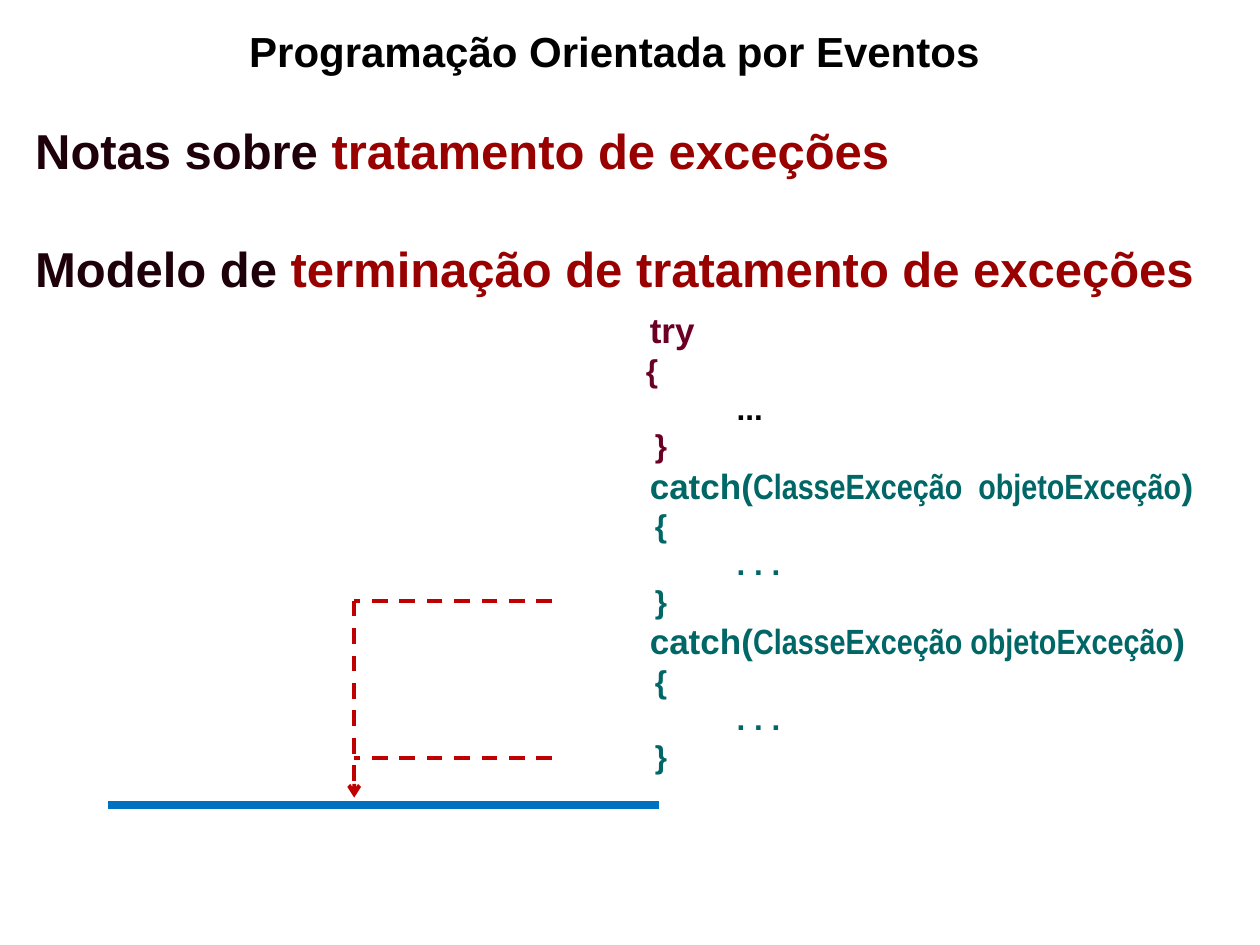
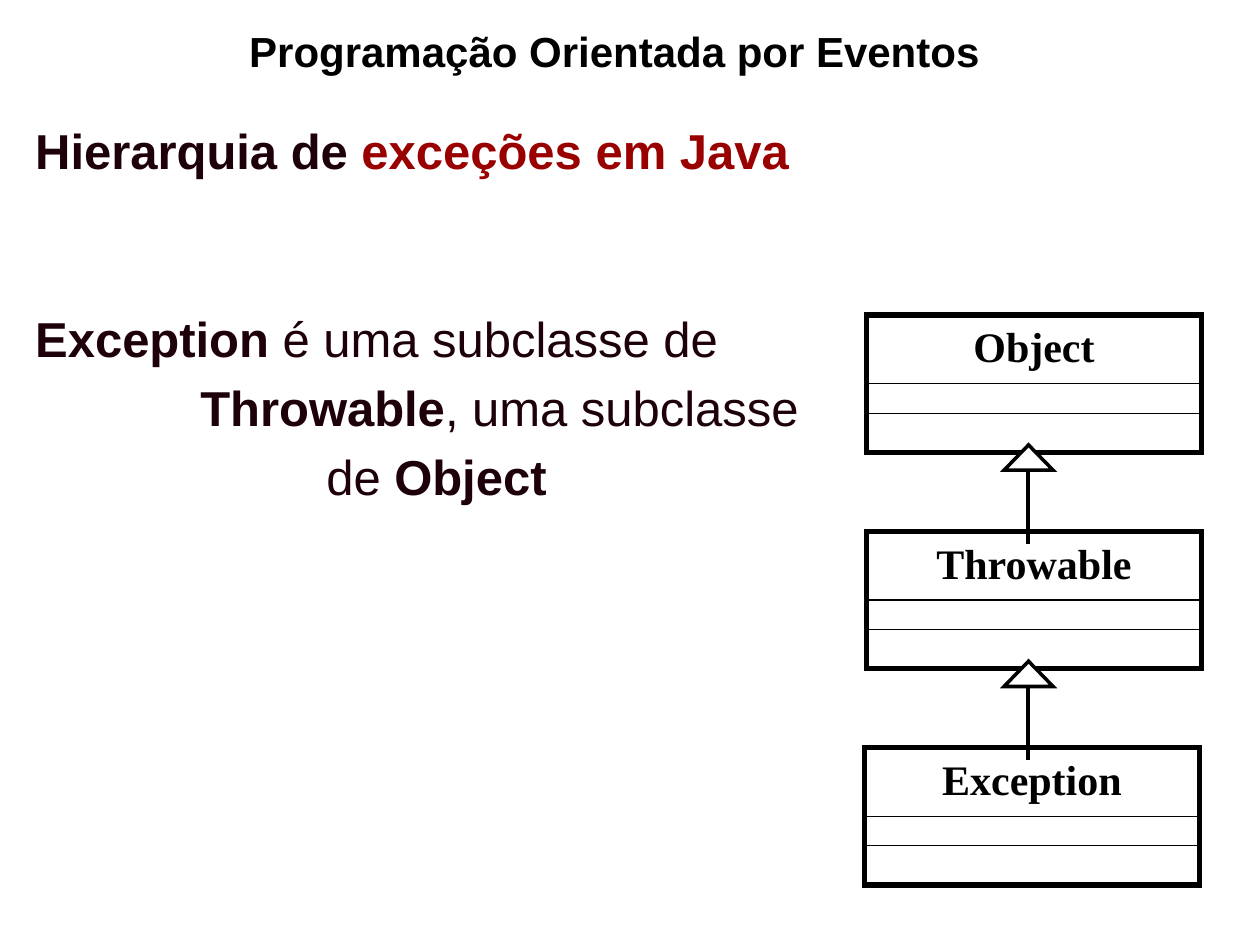
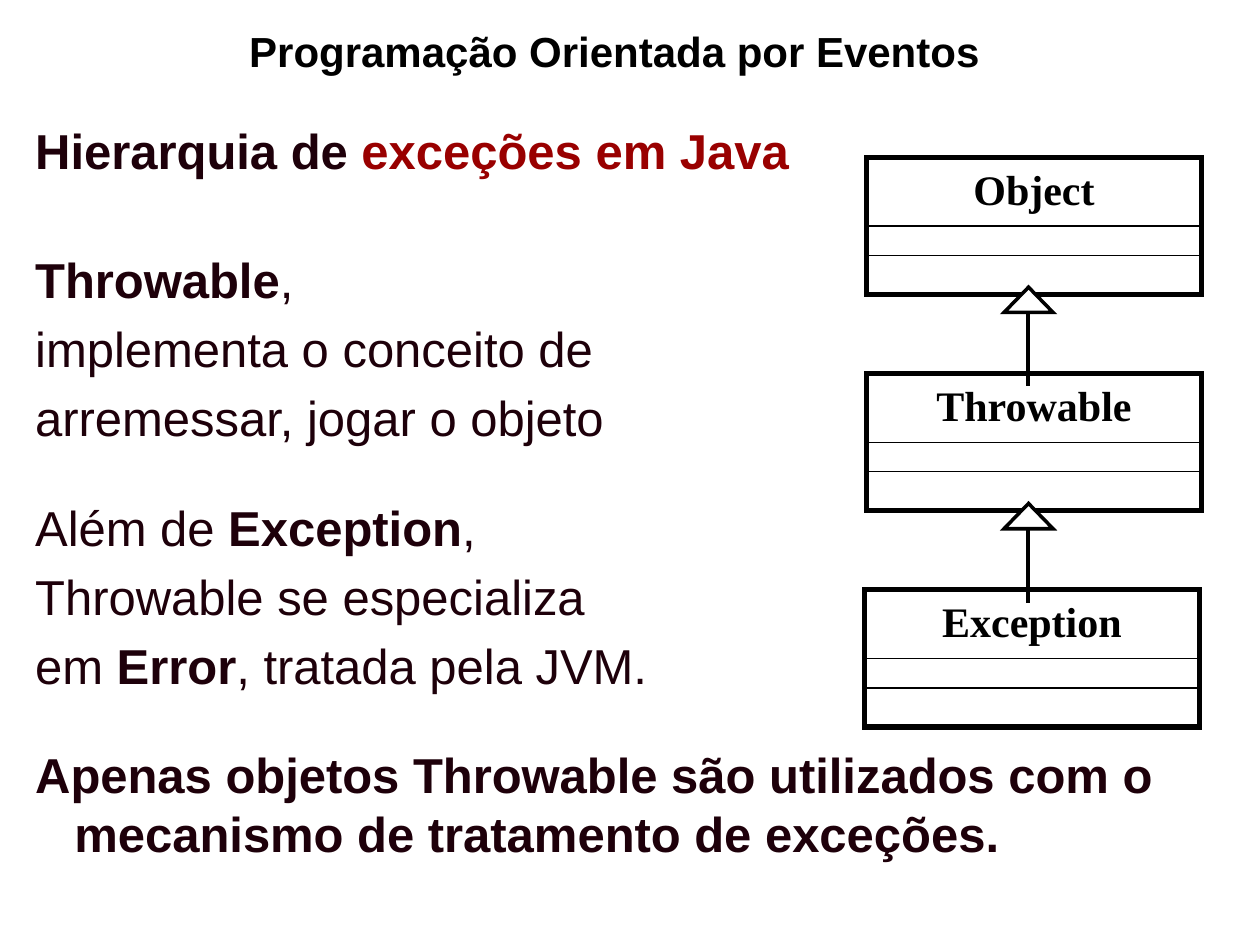
from dataclasses import dataclass

from lxml import etree
from pptx import Presentation
from pptx.dml.color import RGBColor
from pptx.enum import dml, shapes, text
from pptx.oxml import ns
from pptx.util import Cm, Pt


@dataclass(frozen=True)
class Theme:
    black: str = "000000"
    white: str = "FFFFFF"
    ink: str = "1E000A"
    accent: str = "990000"
    try_block: str = "6C0024"
    catch_block: str = "006666"
    flow: str = "C00000"
    exit_bar: str = "0070C0"
    font: str = "Arial"
    narrow: str = "Arial Narrow"
    serif: str = "Times New Roman"
    title: int = 24
    body: int = 28
    keyword: int = 20
    code: int = 18
    class_name: int = 24


theme = Theme()


def write(frame, *runs, size=theme.body, color=theme.ink, font=theme.font, bold=True,
          margin=1.5, hanging=0.79, before=0, after=0, align=text.PP_ALIGN.LEFT):
    """Add a paragraph; a run is a string or a (string, format changes) pair."""
    paragraph = frame.add_paragraph() if frame.text else frame.paragraphs[0]
    paragraph.alignment = align
    paragraph.space_before, paragraph.space_after = Pt(before), Pt(after)
    properties = paragraph._p.get_or_add_pPr()
    properties.set("marL", str(Cm(margin)))
    properties.set("indent", str(-Cm(hanging)))
    for item in runs:
        content, changes = (item, {}) if isinstance(item, str) else item
        style = dict(size=size, color=color, font=font, bold=bold) | changes
        run = paragraph.add_run()
        run.text = content
        run.font.size = Pt(style["size"])
        run.font.name = style["font"]
        run.font.bold = style["bold"]
        run.font.color.rgb = RGBColor.from_string(style["color"])


def draw_line(container, start, end, color=theme.black, width=0.75, dashed=False, arrow=False):
    connector = container.add_connector(
        shapes.MSO_CONNECTOR.STRAIGHT, *map(Cm, start), *map(Cm, end))
    connector.line.color.rgb = RGBColor.from_string(color)
    connector.line.width = Pt(width)
    if dashed:
        connector.line.dash_style = dml.MSO_LINE.DASH
    if arrow:
        etree.SubElement(connector.line._get_or_add_ln(), ns.qn("a:tailEnd"), type="arrow")
    etree.SubElement(connector._element.spPr, ns.qn("a:effectLst"))
    return connector


presentation = Presentation()
presentation.slide_width, presentation.slide_height = Cm(25.4), Cm(19.05)

# Wording of the three slides
red = {"color": theme.accent}
plain = {"bold": False}
hierarchy_heading = (["Hierarquia de ", ("exceções em Java", red)], {})
bodies = [
    [
        (["Notas sobre ", ("tratamento de exceções", red)], {}),
        (["Modelo de ", ("terminação de tratamento de exceções", red)],
         dict(before=33.7, after=6)),
    ],
    [
        hierarchy_heading,
        (["Exception", (" é uma subclasse de", plain)], dict(before=73.4, after=6)),
        (["Throwable", (", uma subclasse", plain)], dict(margin=4.04, hanging=0, after=6)),
        ([("de ", plain), "Object"], dict(margin=6.58, hanging=0, after=6)),
    ],
    [
        hierarchy_heading,
        (["Throwable", (",", plain)], dict(before=39.7, after=6)),
        ([("implementa o conceito de", plain)], dict(after=6)),
        ([("arremessar, jogar o objeto", plain)], dict(after=6)),
        ([("Além de ", plain), "Exception", (",", plain)], dict(before=22.8, after=6)),
        ([("Throwable se especializa", plain)], dict(after=6)),
        ([("em ", plain), "Error", (", tratada pela JVM.", plain)], dict(after=6)),
        (["Apenas objetos Throwable são utilizados com o mecanismo de tratamento de exceções."],
         dict(before=22.8, after=6)),
    ],
]

# Title and body text of every slide
slides = []
for body in bodies:
    slide = presentation.slides.add_slide(presentation.slide_layouts[5])
    slides.append(slide)
    title = slide.shapes.title
    title.left, title.top, title.width, title.height = Cm(4.77), Cm(0.13), Cm(17.35), Cm(1.78)
    title.fill.solid()
    title.fill.fore_color.rgb = RGBColor.from_string(theme.white)
    title.text_frame.vertical_anchor = text.MSO_ANCHOR.MIDDLE
    write(title.text_frame, "Programação Orientada por Eventos", size=theme.title,
          color=theme.black, margin=0, hanging=0)

    body_box = slide.shapes.add_textbox(0, Cm(2.31), Cm(25.4), Cm(16.74))
    body_box.text_frame.word_wrap = True
    body_box.text_frame.margin_left = 0
    for runs, layout in body:
        write(body_box.text_frame, *runs, **layout)

# Slide 1: code listing
slide = slides[0]
code_box = slide.shapes.add_shape(
    shapes.MSO_SHAPE.RECTANGLE, Cm(8.28), Cm(6.1), Cm(16.46), Cm(9.93))
code_box.shadow.inherit = False
code_box.fill.solid()
code_box.fill.fore_color.rgb = RGBColor.from_string(theme.white)
code_box.line.fill.background()
code_box.text_frame.word_wrap = True
code_box.text_frame.margin_left = 0
code_box.text_frame.vertical_anchor = text.MSO_ANCHOR.TOP

keyword_margin, brace_margin, dots_margin = 4.82, 4.92, 6.57
code_lines = [
    (["try"], theme.keyword, theme.try_block, keyword_margin),
    (["{"], theme.code, theme.try_block, 4.74),
    (["..."], theme.code, theme.black, dots_margin),
    (["}"], theme.code, theme.try_block, brace_margin),
]
for parameter in ("ClasseExceção  objetoExceção", "ClasseExceção objetoExceção"):
    code_lines += [
        (["catch(", (parameter, {"font": theme.narrow}), ")"],
         theme.keyword, theme.catch_block, keyword_margin),
        (["{"], theme.code, theme.catch_block, brace_margin),
        ([". . ."], theme.code, theme.catch_block, dots_margin),
        (["}"], theme.code, theme.catch_block, brace_margin),
    ]
for runs, size, color, margin in code_lines:
    write(code_box.text_frame, *runs, size=size, color=color, margin=margin, hanging=0)

# Slide 1: both catch blocks lead to the end of the statement
flow_x, catch_x = 7.14, 11.13
first_catch_y, second_catch_y = 12.11, 15.28
flow_style = dict(color=theme.flow, width=2.25, dashed=True)
draw_line(slide.shapes, (catch_x, first_catch_y), (flow_x, first_catch_y), **flow_style)
draw_line(slide.shapes, (flow_x, first_catch_y), (flow_x, 16.08), arrow=True, **flow_style)
draw_line(slide.shapes, (catch_x, second_catch_y), (flow_x, second_catch_y), **flow_style)
draw_line(slide.shapes, (13.28, 16.23), (2.18, 16.23), color=theme.exit_bar, width=4.5)

# Slides 2 and 3: class hierarchy
class_width, class_height, class_step = 6.75, 2.77, 4.36
classes = [("Object", 17.47), ("Throwable", 17.47), ("Exception", 17.43)]
for slide, hierarchy_top in zip(slides[1:], (6.35, 3.17)):
    for index, (class_name, left) in enumerate(classes):
        top = hierarchy_top + index * class_step
        class_box = slide.shapes.add_shape(
            shapes.MSO_SHAPE.RECTANGLE, Cm(left), Cm(top), Cm(class_width), Cm(class_height))
        class_box.shadow.inherit = False
        class_box.fill.background()
        class_box.line.color.rgb = RGBColor.from_string(theme.black)
        class_box.line.width = Pt(3)
        class_box.text_frame.margin_top = Cm(0.12)
        class_box.text_frame.vertical_anchor = text.MSO_ANCHOR.TOP
        write(class_box.text_frame, class_name, size=theme.class_name, color=theme.black,
              font=theme.serif, margin=0, hanging=0, align=text.PP_ALIGN.CENTER)
        outlined = [class_box]

        # Attribute and method compartments
        right = left + class_width
        middle, lower = top + class_height / 2, top + 1.98
        divider = draw_line(slide.shapes, (left, middle), (right, middle))
        divider.begin_connect(class_box, 1)
        divider.end_connect(class_box, 3)
        draw_line(slide.shapes, (left, lower), (right, lower))

        # Inheritance arrow from the subclass below
        if index < len(classes) - 1:
            inheritance = slide.shapes.add_group_shape()
            triangle = inheritance.shapes.add_shape(
                shapes.MSO_SHAPE.ISOSCELES_TRIANGLE,
                Cm(20.24), Cm(top + 2.62), Cm(0.99), Cm(0.51))
            triangle.shadow.inherit = False
            triangle.fill.solid()
            triangle.fill.fore_color.rgb = RGBColor.from_string(theme.white)
            triangle.line.color.rgb = RGBColor.from_string(theme.black)
            triangle.line.width = Pt(2)
            outlined.append(triangle)
            draw_line(inheritance.shapes, (20.73, top + 3.13), (20.73, top + 4.62), width=2.25)

        # Sharp corners
        for shape in outlined:
            etree.SubElement(shape.line._get_or_add_ln(), ns.qn("a:miter"), lim="800000")

presentation.save("out.pptx")
